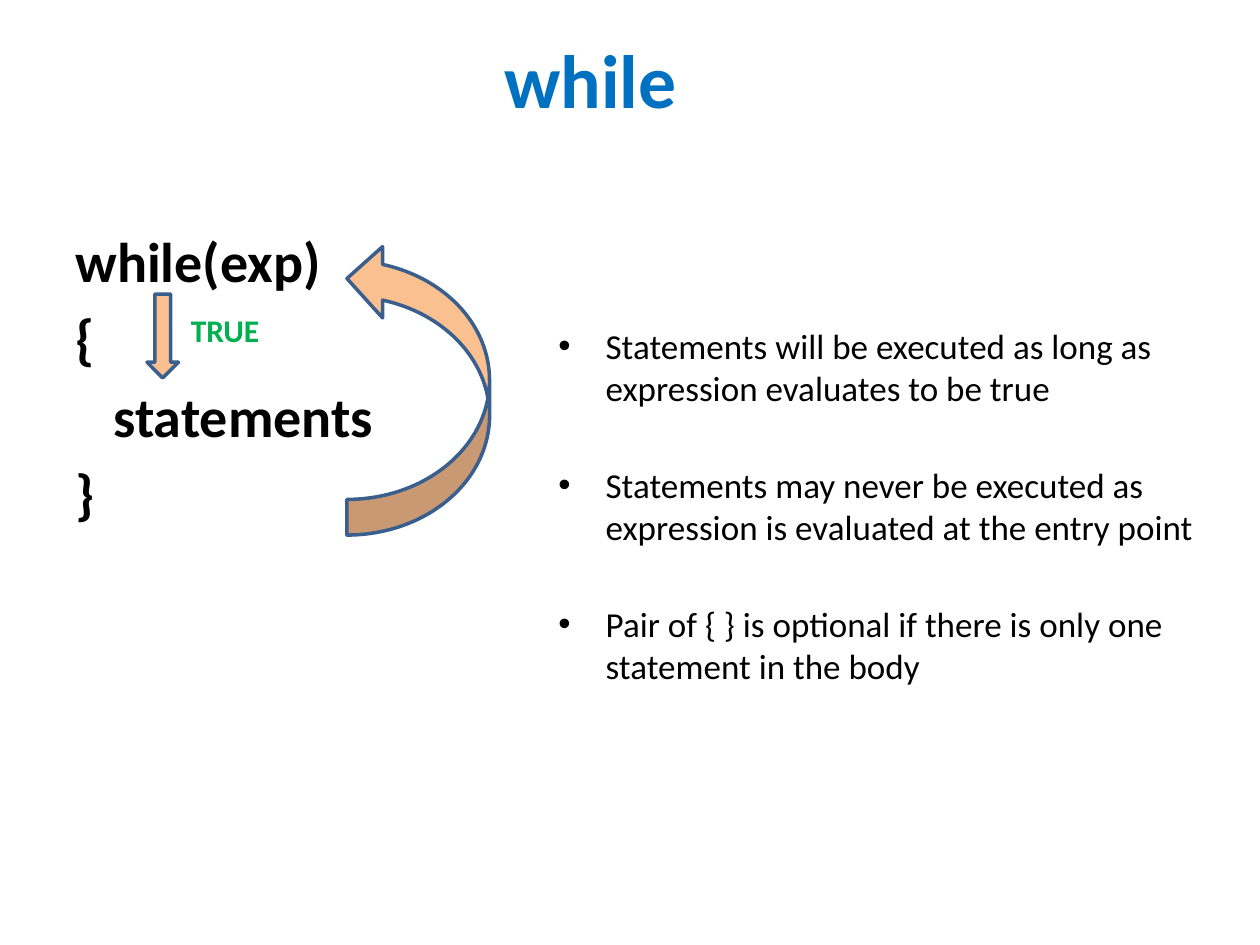
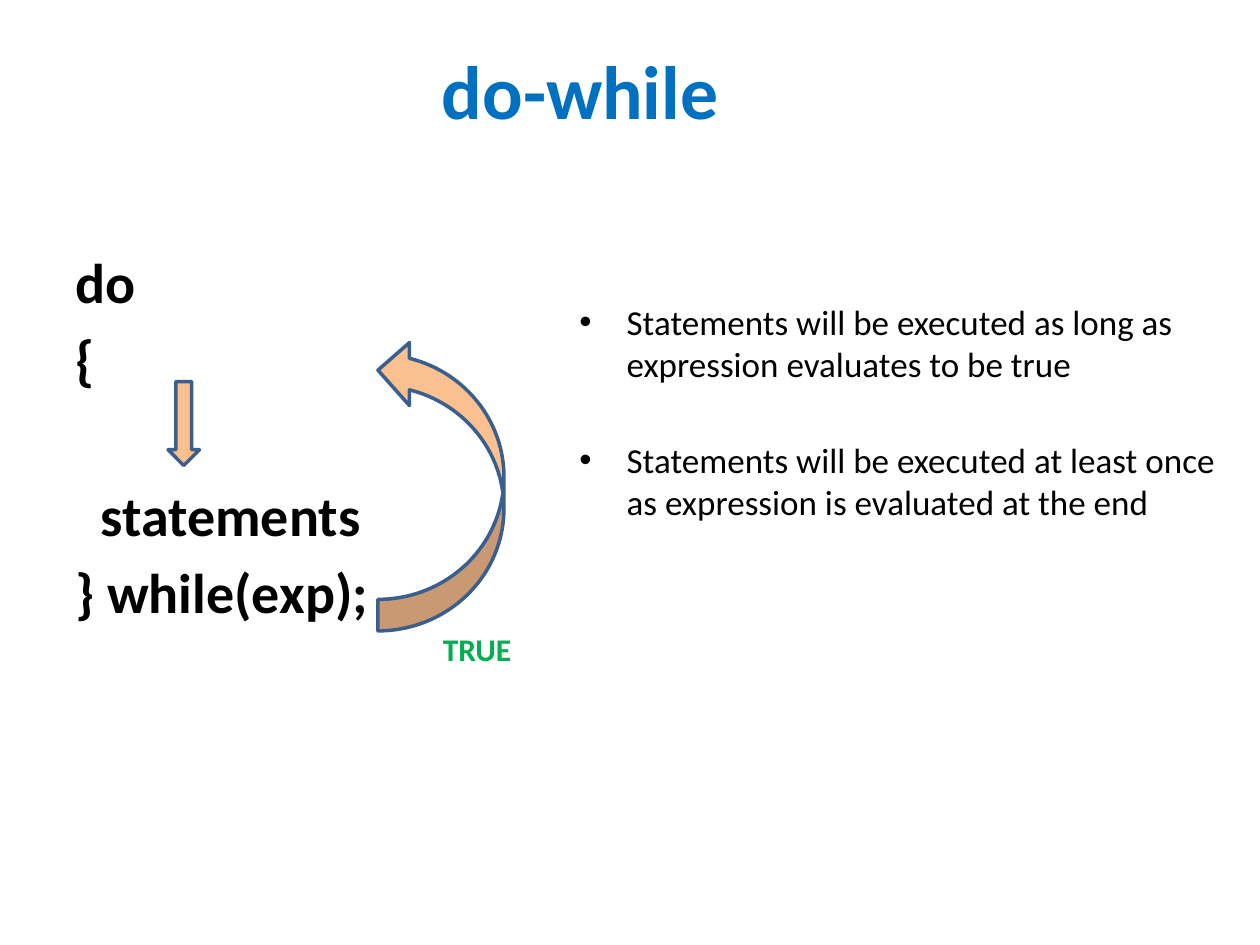
from lxml.etree import SubElement
from pptx import Presentation
from pptx.dml.color import RGBColor
from pptx.enum.shapes import MSO_SHAPE
from pptx.enum.text import MSO_ANCHOR, PP_ALIGN
from pptx.oxml.ns import qn
from pptx.util import Pt

BLUE = RGBColor(0x00, 0x70, 0xC0)
GREEN = RGBColor(0x00, 0xB0, 0x50)
BLACK = RGBColor(0x00, 0x00, 0x00)
PEACH = RGBColor(0xFA, 0xC0, 0x90)
OUTLINE = RGBColor(0x3A, 0x5F, 0x8C)
FONT = "Calibri"
CODE_GAP = 5.7
BULLET_GAP = 31.2
BULLET_INDENT = 27

# Each code line comes with the space above it; boxes are left, top, width, height
LOOPS = [
    {
        "title": "while", "title_at": (13.5, 11.8, 648, 66),
        "code": [("while(exp)", 0), ("{", CODE_GAP),
                 ("   statements", CODE_GAP), ("}", CODE_GAP)],
        "code_at": (36, 126, 648, 356),
        "entry_at": (84, 168, 18, 48),
        "true_at": (102, 174, 54.5, 29),
        "rules": ["Statements will be executed as long as expression evaluates to be true",
                  "Statements may never be executed as expression is evaluated at the entry point",
                  "Pair of { } is optional if there is only one statement in the body"],
        "rules_at": (312, 182, 390, 243),
        "repeat_at": (155.5, 181.5, 167, 81.5),
    },
    {
        "title": "do-while", "title_at": (7.5, 17.8, 648, 66),
        "code": [("do", 0), ("{", CODE_GAP),
                 ("  statements", 50.5), ("} while(exp);", CODE_GAP)],
        "code_at": (36, 138, 648, 306),
        "entry_at": (96, 218, 18, 48),
        "true_at": (246, 356.5, 54.5, 29),
        "rules": ["Statements will be executed as long as expression evaluates to be true",
                  "Statements will be executed at least once as expression is evaluated at the end"],
        "rules_at": (324, 168, 390, 218),
        "repeat_at": (168.5, 241, 167, 72),
    },
]


def add_text(slide, box, lines, size, color, bold=True, wrap=True):
    """Add a text box from (text, space before) pairs and return its frame."""
    frame = slide.shapes.add_textbox(*map(Pt, box)).text_frame
    frame.word_wrap = wrap
    for number, (text, gap) in enumerate(lines):
        paragraph = frame.add_paragraph() if number else frame.paragraphs[0]
        paragraph.text = text
        paragraph.space_before = Pt(gap)
        paragraph.font.name = FONT
        paragraph.font.size = Pt(size)
        paragraph.font.bold = bold
        paragraph.font.color.rgb = color
    return frame


def add_arrow(slide, preset, box, rotation=0):
    arrow = slide.shapes.add_shape(preset, *map(Pt, box))
    arrow.rotation = rotation
    arrow.shadow.inherit = False
    arrow.fill.solid()
    arrow.fill.fore_color.rgb = PEACH
    arrow.line.color.rgb = OUTLINE
    arrow.line.width = Pt(2)


prs = Presentation()
prs.slide_width, prs.slide_height = Pt(720), Pt(540)

for loop in LOOPS:
    slide = prs.slides.add_slide(prs.slide_layouts[6])

    # Title
    title = add_text(slide, loop["title_at"], [(loop["title"], 0)], 43.2, BLUE)
    title.vertical_anchor = MSO_ANCHOR.MIDDLE
    title.paragraphs[0].alignment = PP_ALIGN.CENTER

    # Loop syntax with the arrow into the body
    add_text(slide, loop["code_at"], loop["code"], 32, BLACK)
    add_arrow(slide, MSO_SHAPE.DOWN_ARROW, loop["entry_at"])
    add_text(slide, loop["true_at"], [("TRUE", 0)], 18, GREEN, wrap=False)

    # Bulleted rules
    rule_lines = [(rule, BULLET_GAP if number else 0)
                  for number, rule in enumerate(loop["rules"])]
    rules = add_text(slide, loop["rules_at"], rule_lines, 20, BLACK, bold=False)
    for rule in rules.paragraphs:
        properties = rule._p.get_or_add_pPr()
        properties.set("marL", str(Pt(BULLET_INDENT)))
        properties.set("indent", str(-Pt(BULLET_INDENT)))
        bullet_font = SubElement(properties, qn("a:buFont"), typeface="Arial")
        bullet = SubElement(properties, qn("a:buChar"), char="•")
        # Bullet elements belong ahead of the font properties
        defaults = properties.find(qn("a:defRPr"))
        defaults.addprevious(bullet_font)
        defaults.addprevious(bullet)

    # Arrow back to the start of the loop
    add_arrow(slide, MSO_SHAPE.CURVED_UP_ARROW, loop["repeat_at"], rotation=270)

prs.save("out.pptx")
